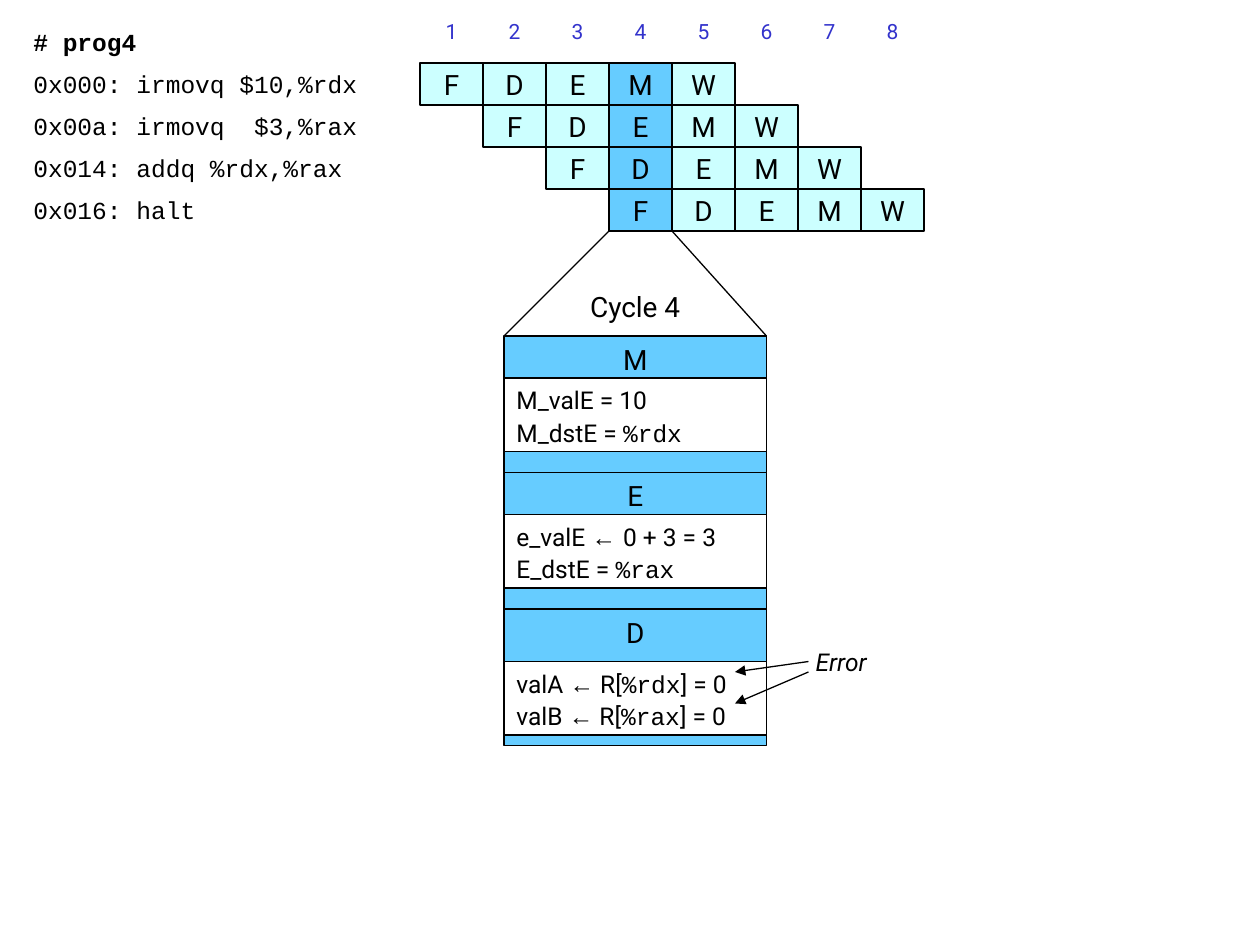
from lxml import etree
from pptx import Presentation
from pptx.dml.color import RGBColor
from pptx.enum.shapes import MSO_CONNECTOR as Connector, MSO_SHAPE as Shape
from pptx.enum.text import MSO_ANCHOR as Anchor, PP_ALIGN as Align
from pptx.oxml.ns import qn
from pptx.util import Cm, Pt

BLACK = RGBColor(0x00, 0x00, 0x00)
WHITE = RGBColor(0xFF, 0xFF, 0xFF)
NUMBER_BLUE = RGBColor(0x33, 0x33, 0xCC)
PALE = RGBColor(0xCC, 0xFF, 0xFF)
ACTIVE = RGBColor(0x66, 0xCC, 0xFF)
SANS, MONO, SYMBOL = "Roboto", "Courier New", "Arial"

# Content
PROGRAM = [
    "# prog4",
    "0x000: irmovq $10,%rdx",
    "0x00a: irmovq  $3,%rax",
    "0x014: addq %rdx,%rax",
    "0x016: halt",
]
STAGES = "FDEMW"
CYCLES = 8
ACTIVE_CYCLE = 4
# Each block: stage, header height in grid units, lines of (text, font) spans
BLOCKS = [
    ("M", 4, [[("M_valE = 10", SANS)],
              [("M_dstE = ", SANS), ("%rdx", MONO)]]),
    ("E", 4, [[("e_valE ", SANS), ("← ", SYMBOL), ("0 + 3 = 3", SANS)],
              [("E_dstE = ", SANS), ("%rax", MONO)]]),
    ("D", 5, [[(f"{value} ", SANS), ("←", SYMBOL), (" R[", SANS),
               (register, MONO), ("] = 0", SANS)]
              for value, register in (("valA", "%rdx"), ("valB", "%rax"))]),
]

# Layout, in grid units of a twelfth of an inch
ROW, COLUMN = 4, 6
CODE_LEFT, CODE_TOP, CODE_WIDTH = 2, 2, 34
PIPE_LEFT, PIPE_TOP = 40, 6
BLOCK_LEFT, BLOCK_TOP, BLOCK_WIDTH, BLOCK_HEIGHT = 48, 32, 25, 13
DETAIL_HEIGHT = 7
ARROWS = [((77, 63), (70, 64)), ((77, 64), (70, 67))]


def grid(units):
    return Cm(units * 2.54 / 12)


def write(box, lines, size, color=BLACK, align=Align.LEFT,
          anchor=Anchor.MIDDLE, spacing=None, bold=None, italic=None, wrap=True):
    frame = box.text_frame
    frame.word_wrap = wrap
    frame.vertical_anchor = anchor
    for index, spans in enumerate(lines):
        para = frame.add_paragraph() if index else frame.paragraphs[0]
        para.alignment = align
        if spacing:
            para.line_spacing = spacing
        for text, font_name in spans:
            span = para.add_run()
            span.text = text
            font = span.font
            font.name, font.size = font_name, Pt(size)
            font.bold, font.italic = bold, italic
            font.color.rgb = color


def add_box(page, left, top, width, height, fill, line_width=None):
    box = page.shapes.add_shape(Shape.RECTANGLE, *map(grid, (left, top, width, height)))
    box.shadow.inherit = False
    box.fill.solid()
    box.fill.fore_color.rgb = fill
    if line_width:
        box.line.color.rgb = BLACK
        box.line.width = Pt(line_width)
    else:
        box.line.fill.background()
    return box


def add_label(page, left, top, width, height, text, size, **style):
    label = page.shapes.add_textbox(*map(grid, (left, top, width, height)))
    write(label, [[(text, SANS)]], size, anchor=Anchor.TOP, **style)


def add_line(page, start, end, arrow=False):
    line = page.shapes.add_connector(Connector.STRAIGHT, *map(grid, start + end))
    line.line.color.rgb = BLACK
    line.line.width = Pt(0.75)
    if arrow:
        etree.SubElement(line.line._get_or_add_ln(), qn("a:tailEnd"), type="triangle")
    etree.SubElement(line._element.spPr, qn("a:effectLst"))


def add_program(page):
    for index, code in enumerate(PROGRAM):
        box = add_box(page, CODE_LEFT, CODE_TOP + index * ROW, CODE_WIDTH, ROW, WHITE)
        write(box, [[(code, MONO)]], 14, bold=index == 0)


def add_pipeline(page):
    # Cycle numbers
    for cycle in range(CYCLES):
        box = add_box(page, PIPE_LEFT + cycle * COLUMN, 1, COLUMN, ROW, WHITE)
        write(box, [[(str(cycle + 1), SANS)]], 12, NUMBER_BLUE, Align.CENTER)
    # Each instruction starts one cycle after the one above
    for row in range(len(PROGRAM) - 1):
        for cycle, stage in enumerate(STAGES, row):
            fill = ACTIVE if cycle + 1 == ACTIVE_CYCLE else PALE
            box = add_box(page, PIPE_LEFT + cycle * COLUMN, PIPE_TOP + row * ROW,
                          COLUMN, ROW, fill, 1)
            write(box, [[(stage, SANS)]], 16, align=Align.CENTER)


def add_cycle_detail(page):
    # Lines that open the active column out into the blocks
    active_left = PIPE_LEFT + (ACTIVE_CYCLE - 1) * COLUMN
    bottom = PIPE_TOP + (len(PROGRAM) - 1) * ROW
    add_line(page, (active_left, bottom), (BLOCK_LEFT, BLOCK_TOP))
    add_line(page, (active_left + COLUMN, bottom), (BLOCK_LEFT + BLOCK_WIDTH, BLOCK_TOP))
    add_label(page, BLOCK_LEFT, 27, BLOCK_WIDTH, 4.4, f"Cycle {ACTIVE_CYCLE}", 16,
              align=Align.CENTER)
    # Stage blocks
    for index, (stage, header, lines) in enumerate(BLOCKS):
        top = BLOCK_TOP + index * BLOCK_HEIGHT
        block = add_box(page, BLOCK_LEFT, top, BLOCK_WIDTH, BLOCK_HEIGHT, ACTIVE, 0.75)
        write(block, [[(stage, SANS)]], 16, align=Align.CENTER, anchor=Anchor.TOP)
        detail = add_box(page, BLOCK_LEFT, top + header, BLOCK_WIDTH, DETAIL_HEIGHT, WHITE, 1)
        write(detail, lines, 14, spacing=1.1)
    # Error callout
    add_label(page, 76.5, 61, 7.5, 4, "Error", 14, italic=True, wrap=False)
    for start, end in ARROWS:
        add_line(page, start, end, arrow=True)


def main():
    deck = Presentation()
    deck.slide_width, deck.slide_height = Cm(25.4), Cm(19.05)
    page = deck.slides.add_slide(deck.slide_layouts[6])
    add_program(page)
    add_pipeline(page)
    add_cycle_detail(page)
    deck.save("out.pptx")


if __name__ == "__main__":
    main()
